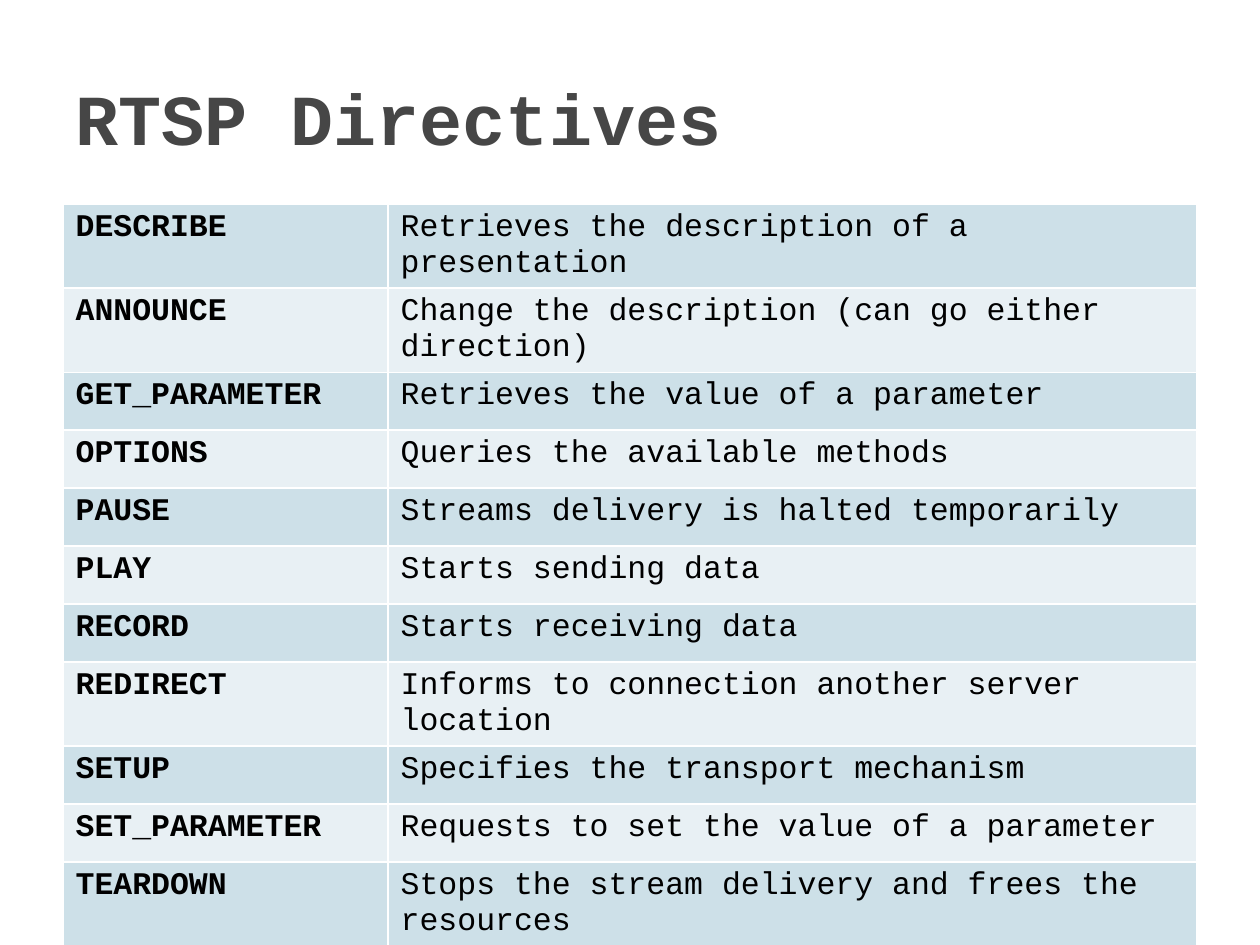
from lxml import etree
from pptx import Presentation
from pptx.dml.color import RGBColor
from pptx.enum.text import MSO_ANCHOR, PP_ALIGN
from pptx.oxml.ns import qn
from pptx.util import Inches, Pt

FONT = "Courier New"
TITLE_GREY = RGBColor(0x46, 0x46, 0x46)
BLACK = RGBColor(0, 0, 0)
WHITE = RGBColor(0xFF, 0xFF, 0xFF)
BANDS = (RGBColor(0xCD, 0xE0, 0xE8), RGBColor(0xE8, 0xF0, 0xF4))

DIRECTIVES = [
    ("DESCRIBE", "Retrieves the description of a presentation"),
    ("ANNOUNCE", "Change the description (can go either direction)"),
    ("GET_PARAMETER", "Retrieves the value of a parameter"),
    ("OPTIONS", "Queries the available methods"),
    ("PAUSE", "Streams delivery is halted temporarily"),
    ("PLAY", "Starts sending data"),
    ("RECORD", "Starts receiving data"),
    ("REDIRECT", "Informs to connection another server location"),
    ("SETUP", "Specifies the transport mechanism"),
    ("SET_PARAMETER", "Requests to set the value of a parameter"),
    ("TEARDOWN", "Stops the stream delivery and frees the resources"),
]


def add_run(paragraph, text, size, color, bold):
    run = paragraph.add_run()
    run.text = text
    run.font.name = FONT
    run.font.size = Pt(size)
    run.font.bold = bold
    run.font.color.rgb = color


def add_borders(cell, color, width):
    # Border lines come before the fill in the cell properties
    properties = cell._tc.get_or_add_tcPr()
    for position, side in enumerate(("a:lnL", "a:lnR", "a:lnT", "a:lnB")):
        line = etree.Element(qn(side), w=str(Pt(width)))
        solid = etree.SubElement(line, qn("a:solidFill"))
        etree.SubElement(solid, qn("a:srgbClr"), val=str(color))
        properties.insert(position, line)


prs = Presentation()
prs.slide_width, prs.slide_height = Inches(10), Inches(7.5)
slide = prs.slides.add_slide(prs.slide_layouts[5])

margin = int(prs.slide_width * 0.05)
content_width = prs.slide_width - 2 * margin

# Title
title = slide.shapes.title
title.left, title.top = margin, int(prs.slide_height * 0.04)
title.width, title.height = content_width, Inches(1.25)
title.text_frame.vertical_anchor = MSO_ANCHOR.MIDDLE
heading = title.text_frame.paragraphs[0]
heading.alignment = PP_ALIGN.LEFT
add_run(heading, "RTSP Directives", 41, TITLE_GREY, True)

# Directive table: name column and meaning column
row_height = Inches(0.46)
directives = slide.shapes.add_table(
    len(DIRECTIVES), 2, margin, Inches(1.62),
    content_width, row_height * len(DIRECTIVES)).table
directives.first_row = False
name_width = Inches(2.58)
directives.columns[0].width = name_width
directives.columns[1].width = content_width - name_width

for row, entry in enumerate(DIRECTIVES):
    directives.rows[row].height = row_height
    for column, text in enumerate(entry):
        cell = directives.cell(row, column)
        cell.fill.solid()
        cell.fill.fore_color.rgb = BANDS[row % 2]
        add_borders(cell, WHITE, 1)
        add_run(cell.text_frame.paragraphs[0], text, 18, BLACK, column == 0)

prs.save("out.pptx")
